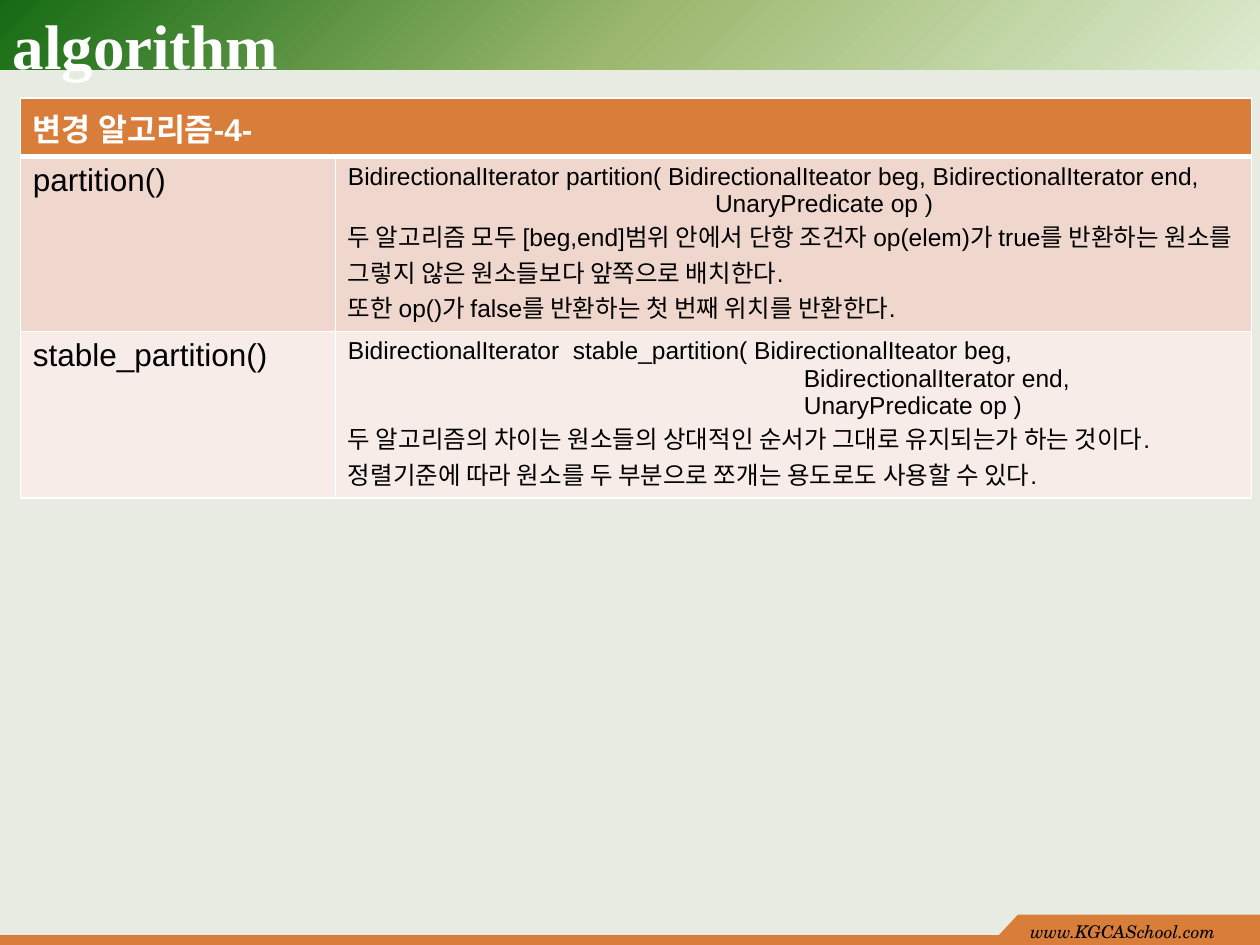
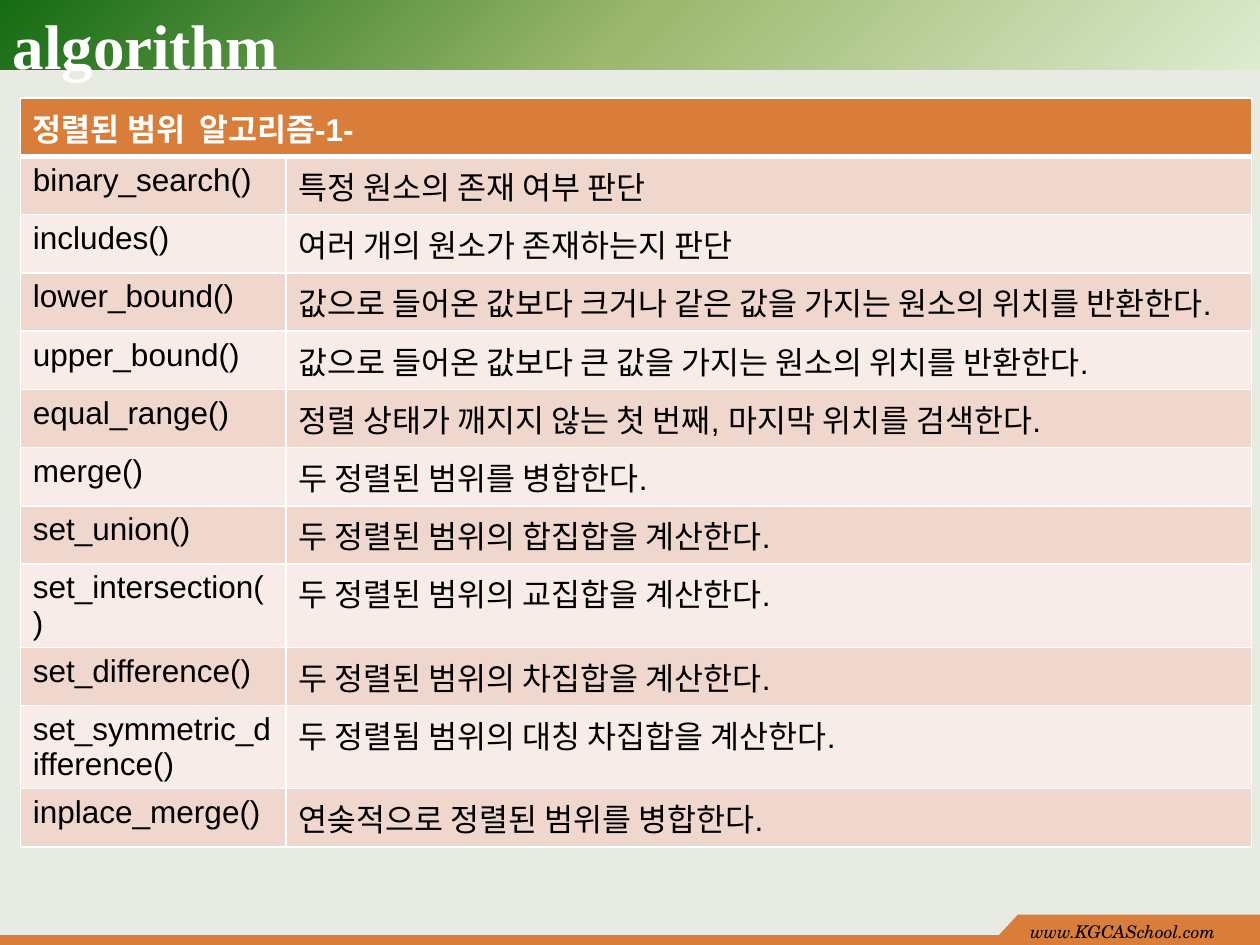
from dataclasses import dataclass

from lxml.etree import SubElement
from pptx import Presentation
from pptx.dml.color import RGBColor
from pptx.enum.shapes import MSO_SHAPE
from pptx.enum.text import MSO_ANCHOR, MSO_AUTO_SIZE, PP_ALIGN
from pptx.oxml import parse_xml
from pptx.oxml.ns import nsdecls, qn
from pptx.util import Cm, Pt


@dataclass(frozen=True)
class Theme:
    background: str = "E7EBE2"
    accent: str = "D87D3A"
    odd_row: str = "F0D7CE"
    even_row: str = "F8ECE8"
    light: str = "FFFFFF"
    dark: str = "000000"
    band: tuple = ((0, "DDEBCF"), (50, "9CB86E"), (100, "156B13"))
    title_font: str = "Times New Roman"
    body_font: str = "Arial"
    footer_font: str = "TeX Gyre Schola"
    title_size: int = 36
    table_size: int = 18
    detail_size: int = 14
    footer_size: int = 10


THEME = Theme()
SLIDE_WIDTH, SLIDE_HEIGHT = 25.4, 19.05
TABLE_LEFT, TABLE_TOP, ROW_HEIGHT = 0.41, 1.98, 1.04


@dataclass(frozen=True)
class Line:
    """A paragraph with its left indent and first-line offset in cm."""
    text: str
    indent: float = 0
    first: float = 0


PARTITION_ROWS = [
    ("partition()", [
        Line("BidirectionalIterator partition( BidirectionalIteator beg, BidirectionalIterator end,\n"
             "UnaryPredicate op )", 7.4, -7.4),
        Line("두 알고리즘 모두 [beg,end]범위 안에서 단항 조건자 op(elem)가 true를 반환하는 "
             "원소를  그렇지 않은 원소들보다 앞쪽으로 배치한다."),
        Line("또한 op()가 false를 반환하는 첫 번째 위치를 반환한다."),
    ]),
    ("stable_partition()", [
        Line("BidirectionalIterator  stable_partition( BidirectionalIteator beg,"),
        Line("BidirectionalIterator end,\nUnaryPredicate op )", 9.19),
        Line("두 알고리즘의 차이는 원소들의 상대적인 순서가 그대로 유지되는가 하는 것이다."),
        Line("정렬기준에 따라 원소를 두 부분으로 쪼개는 용도로도 사용할 수 있다."),
    ]),
]

SORTED_RANGE_ROWS = [
    (function, [Line(purpose)]) for function, purpose in [
        ("binary_search()", "특정 원소의 존재 여부 판단"),
        ("includes()", "여러 개의 원소가 존재하는지 판단"),
        ("lower_bound()", "값으로 들어온 값보다 크거나 같은 값을 가지는 원소의 위치를 반환한다."),
        ("upper_bound()", "값으로 들어온 값보다 큰 값을 가지는 원소의 위치를 반환한다."),
        ("equal_range()", "정렬 상태가 깨지지 않는 첫 번째, 마지막 위치를 검색한다."),
        ("merge()", "두 정렬된 범위를 병합한다."),
        ("set_union()", "두 정렬된 범위의 합집합을 계산한다."),
        ("set_intersection()", "두 정렬된 범위의 교집합을 계산한다."),
        ("set_difference()", "두 정렬된 범위의 차집합을 계산한다."),
        ("set_symmetric_difference()", "두 정렬됨 범위의 대칭 차집합을 계산한다."),
        ("inplace_merge()", "연솢적으로 정렬된 범위를 병합한다."),
    ]
]


def apply_format(target, values):
    for attribute, value in values.items():
        setattr(target, attribute, value)


def format_font(font, color, **values):
    apply_format(font, values)
    font.color.rgb = RGBColor.from_string(color)


def paint(shape, color):
    shape.fill.solid()
    shape.fill.fore_color.rgb = RGBColor.from_string(color)
    shape.line.fill.background()
    shape.shadow.inherit = False


def add_bar(shapes, left, top, width, height):
    bar = shapes.add_shape(MSO_SHAPE.RECTANGLE, Cm(left), Cm(top), Cm(width), Cm(height))
    paint(bar, THEME.accent)
    return bar


def add_title_band(shapes):
    """Add the top band with a radial gradient spreading from bottom right."""
    band = add_bar(shapes, 0, 0, SLIDE_WIDTH, 1.4)
    stops = "".join(f'<a:gs pos="{position * 1000}"><a:srgbClr val="{color}"/></a:gs>'
                    for position, color in THEME.band)
    gradient = parse_xml(
        f'<a:gradFill {nsdecls("a")} rotWithShape="1"><a:gsLst>{stops}</a:gsLst>'
        '<a:path path="circle"><a:fillToRect l="100000" t="100000"/></a:path></a:gradFill>')
    properties = band.element.spPr
    properties.replace(properties.find(qn("a:solidFill")), gradient)


def add_footer(shapes):
    tab_left, tab_top, tab_height, slope = 20.52, 18.44, 0.43, 0.4
    tab_bottom = tab_top + tab_height
    tab_width = SLIDE_WIDTH - tab_left
    add_bar(shapes, 0, SLIDE_HEIGHT - 0.2, SLIDE_WIDTH, 0.2)
    add_bar(shapes, tab_left, tab_top, tab_width, tab_height)
    outline = shapes.build_freeform(Cm(tab_left - slope), Cm(tab_bottom))
    outline.add_line_segments([(Cm(tab_left), Cm(tab_bottom)), (Cm(tab_left), Cm(tab_top))])
    paint(outline.convert_to_shape(), THEME.accent)

    address = shapes.add_textbox(Cm(tab_left), Cm(tab_top), Cm(tab_width), Cm(0.62)).text_frame
    address.word_wrap = True
    address.text = "www.KGCASchool.com"
    format_font(address.paragraphs[0].font, THEME.dark, name=THEME.footer_font,
                size=Pt(THEME.footer_size), italic=True)


def decorate_layout(layout, slide):
    """Draw the shared band and footer with the slide, then hand them to its layout."""
    layout.background.fill.solid()
    layout.background.fill.fore_color.rgb = RGBColor.from_string(THEME.background)
    add_title_band(slide.shapes)
    add_footer(slide.shapes)
    shared = [shape for shape in slide.shapes if not shape.is_placeholder]
    for number, shape in enumerate(shared, start=100):
        shape.element.xpath("./p:nvSpPr/p:cNvPr")[0].set("id", str(number))
        layout.shapes.element.append(shape.element)


def set_title(slide, text):
    title = slide.shapes.title
    apply_format(title, {"left": Cm(0), "top": Cm(0), "width": Cm(22.86), "height": Cm(1.78)})
    frame = title.text_frame
    apply_format(frame, {"text": text, "word_wrap": True, "auto_size": MSO_AUTO_SIZE.NONE,
                         "vertical_anchor": MSO_ANCHOR.MIDDLE})
    heading = frame.paragraphs[0]
    heading.alignment = PP_ALIGN.LEFT
    format_font(heading.font, THEME.light, name=THEME.title_font,
                size=Pt(THEME.title_size), bold=True)


def add_borders(cell, **widths):
    properties = cell._tc.get_or_add_tcPr()
    for side in "LRTB":
        border = SubElement(properties, qn(f"a:ln{side}"), w=str(Pt(widths.get(side, 1))))
        fill = SubElement(border, qn("a:solidFill"))
        SubElement(fill, qn("a:srgbClr"), val=THEME.light)


def fill_cell(cell, lines, fill, size, color=THEME.dark, bold=False):
    cell.fill.solid()
    cell.fill.fore_color.rgb = RGBColor.from_string(fill)
    frame = cell.text_frame
    for index, line in enumerate(lines):
        paragraph = frame.add_paragraph() if index else frame.paragraphs[0]
        paragraph.text = line.text
        properties = paragraph._p.get_or_add_pPr()
        properties.set("marL", str(Cm(line.indent)))
        properties.set("indent", str(Cm(line.first)))
        for run in paragraph.runs:
            format_font(run.font, color, name=THEME.body_font, size=Pt(size), bold=bold)


def add_function_table(slide, heading, rows, column_widths, detail_size):
    count = len(rows) + 1
    table = slide.shapes.add_table(
        count, 2, Cm(TABLE_LEFT), Cm(TABLE_TOP),
        Cm(sum(column_widths)), Cm(ROW_HEIGHT * count)).table
    for column, width in zip(table.columns, column_widths):
        column.width = Cm(width)

    for cell in table.rows[0].cells:
        add_borders(cell, B=3)
    table.cell(0, 0).merge(table.cell(0, 1))
    fill_cell(table.cell(0, 0), [Line(heading)], THEME.accent, THEME.table_size,
              THEME.light, bold=True)

    for number, (function, details) in enumerate(rows, start=1):
        fill = THEME.odd_row if number % 2 else THEME.even_row
        function_cell, detail_cell = table.rows[number].cells
        for cell in (function_cell, detail_cell):
            add_borders(cell, T=3 if number == 1 else 1)
        fill_cell(function_cell, [Line(function)], fill, THEME.table_size)
        fill_cell(detail_cell, details, fill, detail_size)


def main():
    deck = Presentation()
    apply_format(deck, {"slide_width": Cm(SLIDE_WIDTH), "slide_height": Cm(SLIDE_HEIGHT)})
    layout = deck.slide_layouts.get_by_name("Title Only")
    partition, sorted_range = [deck.slides.add_slide(layout) for _ in range(2)]
    decorate_layout(layout, partition)
    for slide in (partition, sorted_range):
        set_title(slide, "algorithm")

    add_function_table(partition, "변경 알고리즘-4-", PARTITION_ROWS,
                       (6.35, 18.47), THEME.detail_size)
    add_function_table(sorted_range, "정렬된 범위  알고리즘-1-", SORTED_RANGE_ROWS,
                       (5.36, 19.46), THEME.table_size)
    deck.save("out.pptx")


if __name__ == "__main__":
    main()
